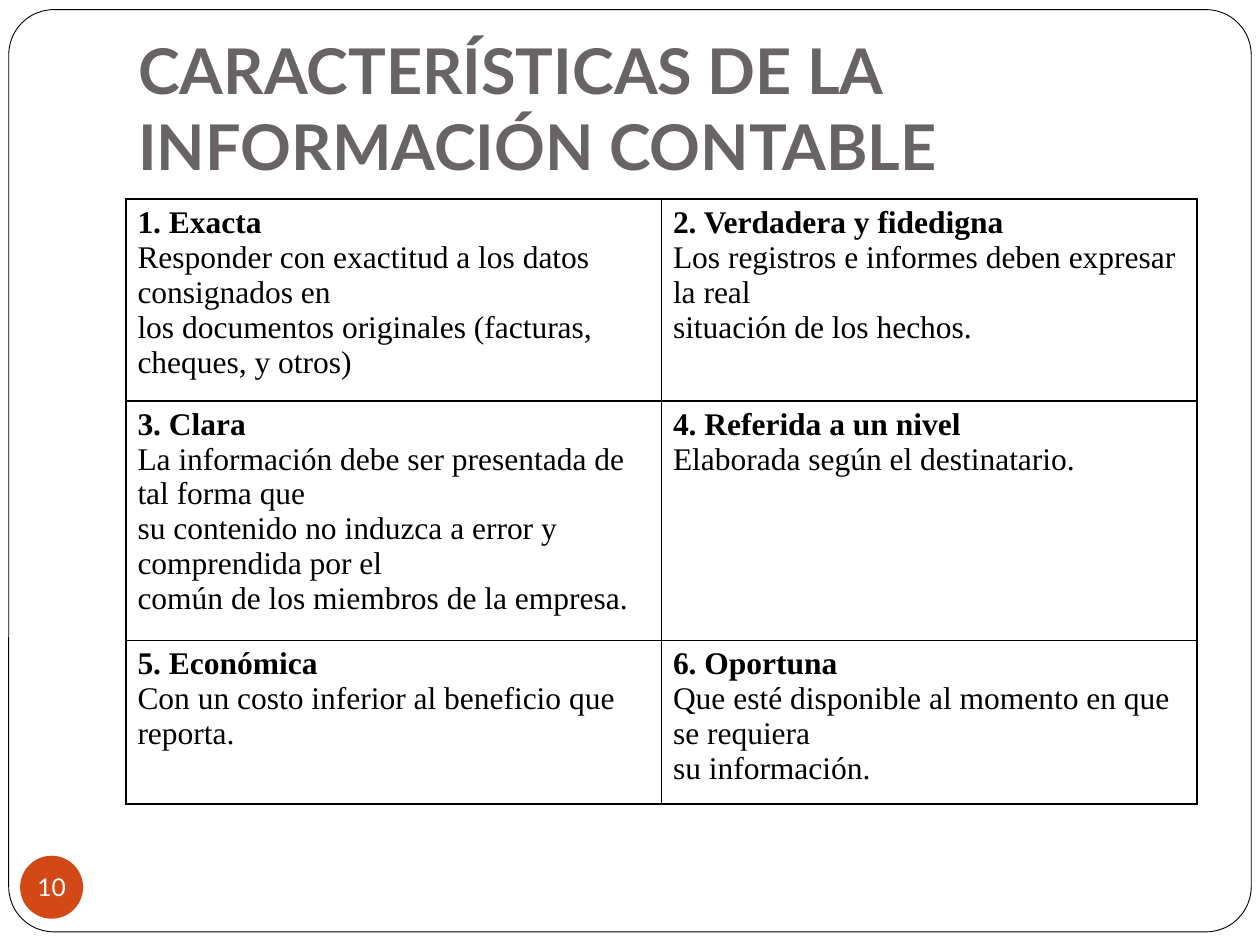
from dataclasses import dataclass

from lxml import etree
from pptx import Presentation
from pptx.dml.color import RGBColor
from pptx.enum.shapes import MSO_SHAPE
from pptx.enum.text import MSO_ANCHOR, PP_ALIGN
from pptx.oxml.ns import qn
from pptx.util import Pt

ROUNDED, OVAL = MSO_SHAPE.ROUNDED_RECTANGLE, MSO_SHAPE.OVAL
BOTTOM, MIDDLE = MSO_ANCHOR.BOTTOM, MSO_ANCHOR.MIDDLE
CENTER = PP_ALIGN.CENTER


@dataclass(frozen=True)
class Theme:
    white: str = "FFFFFF"
    black: str = "000000"
    gray: str = "696464"
    accent: str = "D34817"
    heading_font: str = "Lato"
    body_font: str = "Times New Roman"
    title_size: int = 36
    body_size: int = 18
    number_size: int = 14


THEME = Theme()
COLUMN_WIDTH = 306
ROW_HEIGHTS = [107, 127, 87]
CHARACTERISTICS = [
    [
        ["1. Exacta", "Responder con exactitud a los datos consignados en",
         "los documentos originales (facturas, cheques, y otros)"],
        ["2. Verdadera y fidedigna", "Los registros e informes deben expresar la real",
         "situación de los hechos."],
    ],
    [
        ["3. Clara", "La información debe ser presentada de tal forma que",
         "su contenido no induzca a error y comprendida por el",
         "común de los miembros de la empresa."],
        ["4. Referida a un nivel", "Elaborada según el destinatario."],
    ],
    [
        ["5. Económica", "Con un costo inferior al beneficio que reporta."],
        ["6. Oportuna", "Que esté disponible al momento en que se requiera",
         "su información."],
    ],
]


def style_font(paragraph, name, size, color, bold=False):
    font = paragraph.font
    font.name, font.size, font.bold = name, Pt(size), bold
    font.color.rgb = RGBColor.from_string(color)


def set_margins(frame, left, top, right, bottom):
    frame.margin_left, frame.margin_top = Pt(left), Pt(top)
    frame.margin_right, frame.margin_bottom = Pt(right), Pt(bottom)


def add_filled_shape(slide, kind, left, top, width, height, color):
    shape = slide.shapes.add_shape(kind, Pt(left), Pt(top), Pt(width), Pt(height))
    shape.shadow.inherit = False
    shape.fill.solid()
    shape.fill.fore_color.rgb = RGBColor.from_string(color)
    shape.line.fill.background()
    return shape


def add_frame(slide):
    frame = add_filled_shape(slide, ROUNDED, 5, 5.5, 710, 527, THEME.white)
    frame.adjustments[0] = 0.049
    frame.line.color.rgb = RGBColor.from_string(THEME.black)
    frame.line.width = Pt(0.5)


def add_title(slide, text):
    frame = slide.shapes.add_textbox(Pt(72), Pt(21.6), Pt(612), Pt(90)).text_frame
    frame.word_wrap = True
    frame.vertical_anchor = BOTTOM
    set_margins(frame, 7.2, 3.6, 7.2, 7.2)
    paragraph = frame.paragraphs[0]
    paragraph.text = text
    style_font(paragraph, THEME.heading_font, THEME.title_size, THEME.gray, True)


def add_borders(cell):
    properties = cell._tc.get_or_add_tcPr()
    for position, side in enumerate(("a:lnL", "a:lnR", "a:lnT", "a:lnB")):
        line = etree.Element(qn(side), w=str(Pt(1)))
        fill = etree.SubElement(line, qn("a:solidFill"))
        etree.SubElement(fill, qn("a:srgbClr"), val=THEME.black)
        properties.insert(position, line)


def fill_cell(cell, lines):
    cell.fill.background()
    set_margins(cell, 6.6, 3.6, 6.6, 3.6)
    add_borders(cell)
    frame = cell.text_frame
    frame.text = "\n".join(lines)
    for index, paragraph in enumerate(frame.paragraphs):
        style_font(paragraph, THEME.body_font, THEME.body_size, THEME.black, index == 0)


def add_characteristics_table(slide, rows):
    columns = len(rows[0])
    table = slide.shapes.add_table(
        len(rows), columns, Pt(72), Pt(113.8),
        Pt(COLUMN_WIDTH * columns), Pt(sum(ROW_HEIGHTS))).table
    table.first_row = table.horz_banding = False
    for column in table.columns:
        column.width = Pt(COLUMN_WIDTH)
    for row, height, contents in zip(table.rows, ROW_HEIGHTS, rows):
        row.height = Pt(height)
        for cell, lines in zip(row.cells, contents):
            fill_cell(cell, lines)


def add_slide_number(slide, number):
    badge = add_filled_shape(slide, OVAL, 11.5, 489, 36, 36, THEME.accent)
    frame = badge.text_frame
    frame.word_wrap = False
    frame.vertical_anchor = MIDDLE
    set_margins(frame, 0, 0, 0, 0)
    paragraph = frame.paragraphs[0]
    paragraph.text = number
    paragraph.alignment = CENTER
    style_font(paragraph, THEME.heading_font, THEME.number_size, THEME.white)


def main():
    presentation = Presentation()
    presentation.slide_width, presentation.slide_height = Pt(720), Pt(540)
    slide = presentation.slides.add_slide(presentation.slide_layouts[6])
    add_frame(slide)
    add_title(slide, "CARACTERÍSTICAS DE LA INFORMACIÓN CONTABLE")
    add_characteristics_table(slide, CHARACTERISTICS)
    add_slide_number(slide, "10")
    presentation.save("out.pptx")


if __name__ == "__main__":
    main()
